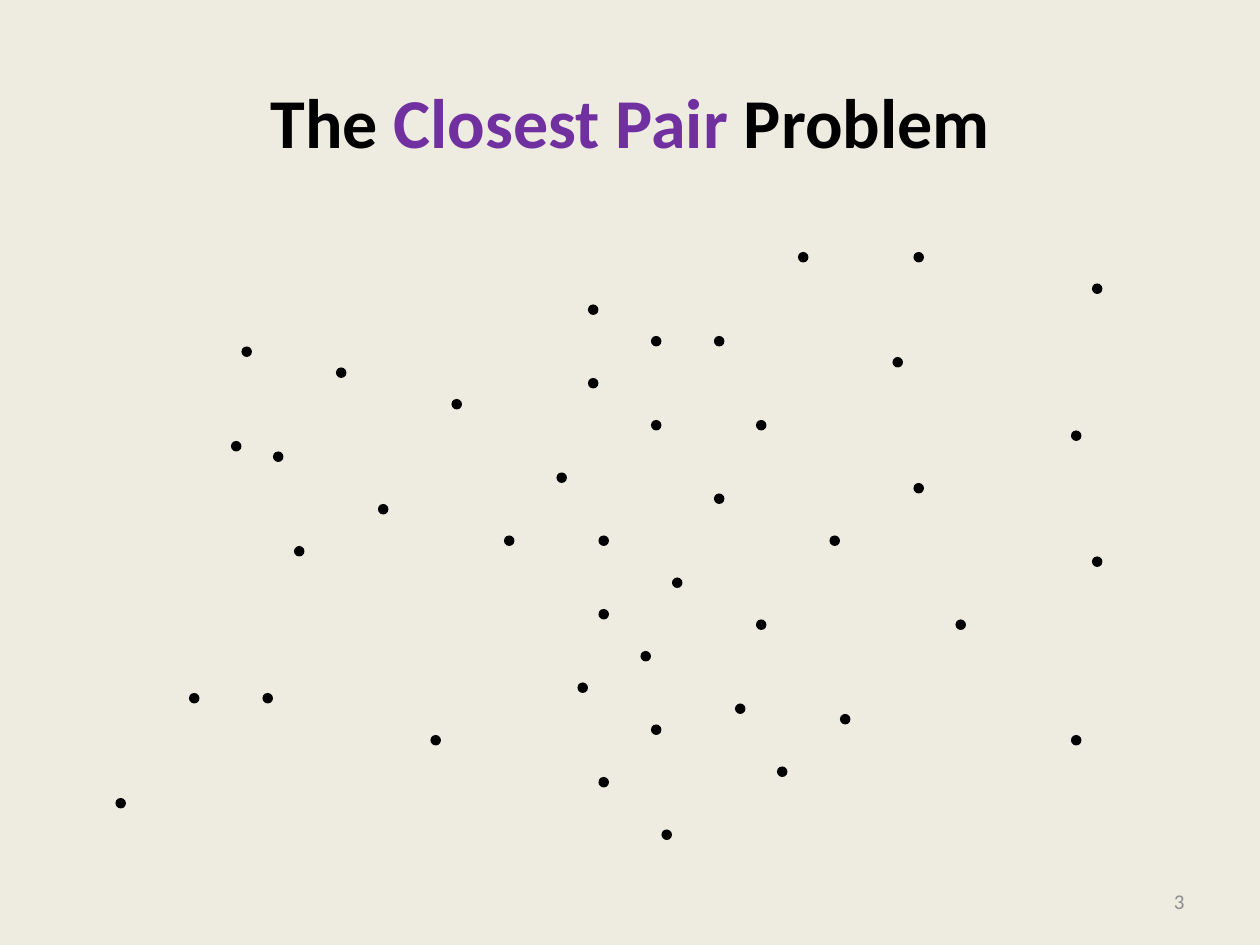
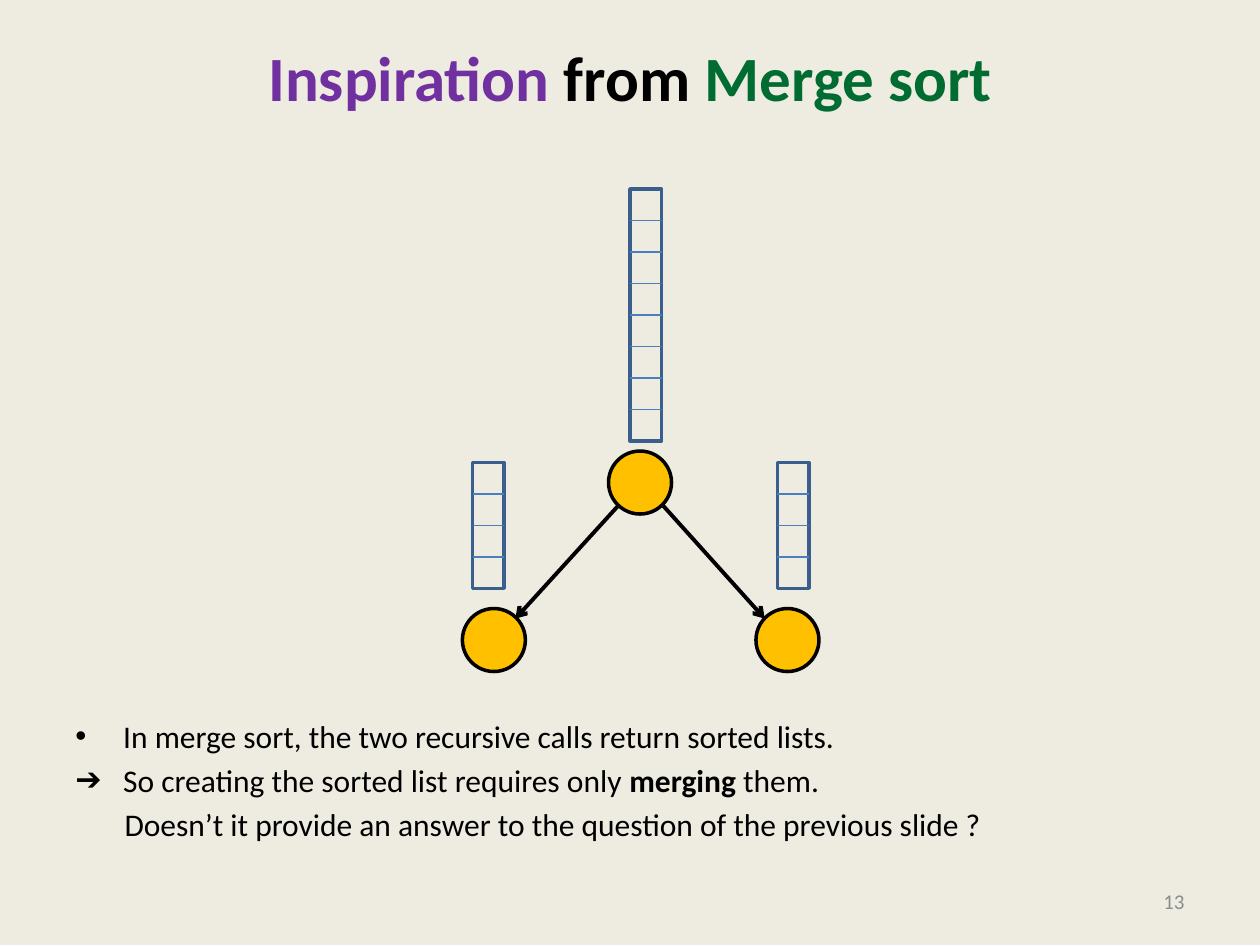
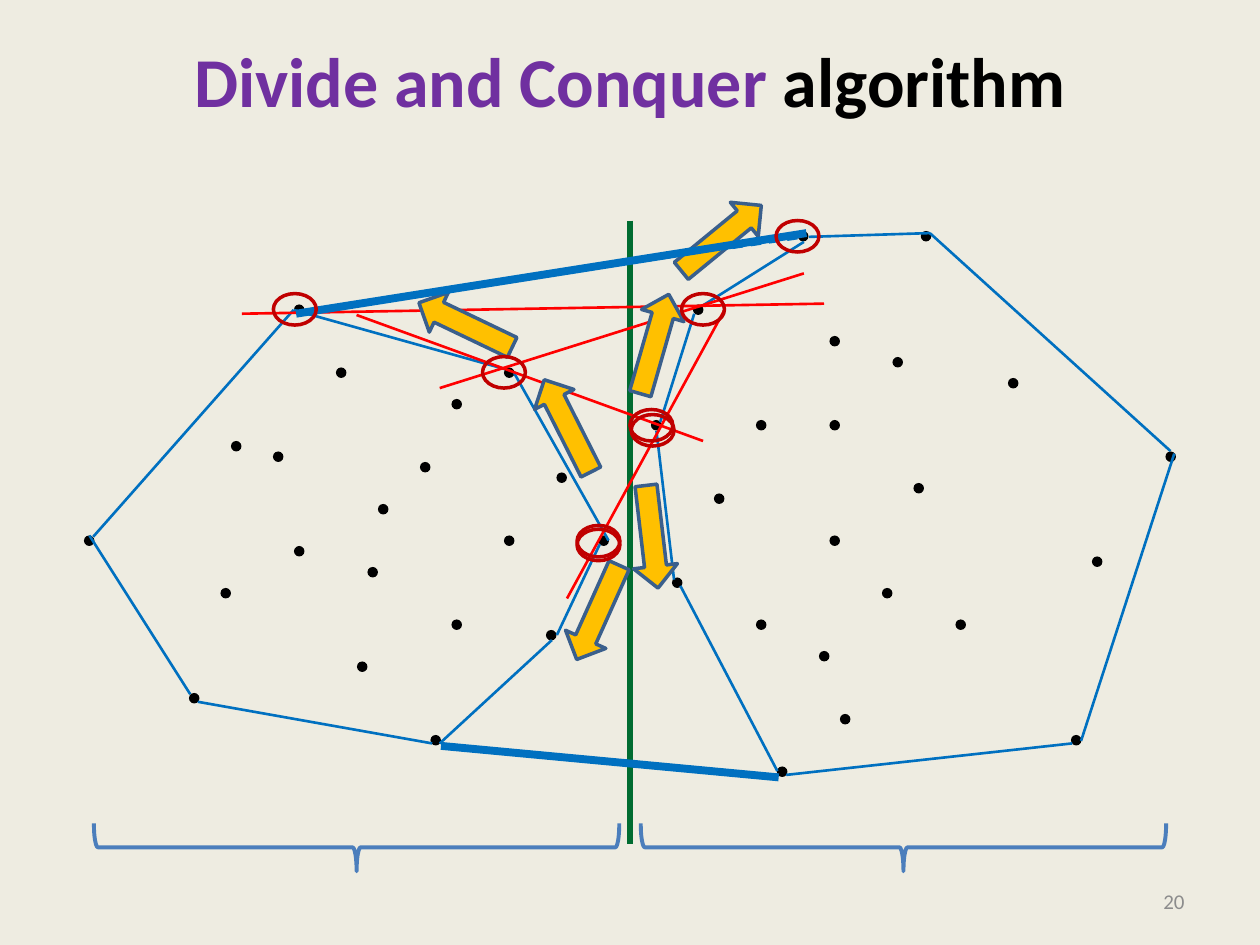
from pptx import Presentation
from pptx.dml.color import RGBColor
from pptx.enum.dml import MSO_LINE
from pptx.enum.shapes import MSO_CONNECTOR, MSO_SHAPE
from pptx.enum.text import MSO_ANCHOR, PP_ALIGN
from pptx.oxml.ns import qn
from pptx.util import Cm, Pt
from lxml import etree

STRAIGHT = MSO_CONNECTOR.STRAIGHT
ELLIPSE = MSO_SHAPE.OVAL
RECTANGLE = MSO_SHAPE.RECTANGLE
UP_ARROW = MSO_SHAPE.UP_ARROW
RIGHT_BRACE = MSO_SHAPE.RIGHT_BRACE
DASH = MSO_LINE.DASH
MIDDLE = MSO_ANCHOR.MIDDLE
BOTTOM = MSO_ANCHOR.BOTTOM
LEFT = PP_ALIGN.LEFT
CENTER = PP_ALIGN.CENTER
RIGHT = PP_ALIGN.RIGHT

FONT = "Calibri"
BACKGROUND = "EEECE1"
BLACK = "000000"
GRAY = "8C8C8C"
PURPLE = "7030A0"
GREEN = "006C31"
GOLD = "FFC000"
NAVY = "3A5F8C"
STEEL = "4B7EBC"
BLUE = "0070C0"
RED = "FF0000"
DARK_RED = "C00000"

GRID = 1 / 12
CELL = 0.25

SHARED_POINTS = [
    (43, 38), (48, 51), (87, 46), (79, 51), (80, 68), (41, 70), (36, 48), (91, 59),
    (85, 34), (32, 35), (26, 43), (28, 52), (22, 42), (72, 40), (72, 59), (74, 73),
    (104, 53), (102, 70), (18, 66), (57, 51), (64, 55), (62, 40), (53, 45), (68, 47),
]
CLOSEST_PAIR_POINTS = [
    (61, 62), (55, 65), (68, 32), (70, 67), (25, 66), (23, 33), (56, 29), (76, 24),
    (87, 24), (102, 41), (104, 27), (11, 76), (57, 74), (63, 79), (62, 69), (57, 58),
    (62, 32), (56, 36),
]
HULL_POINTS = [
    (21, 56), (43, 59), (66, 29), (78, 62), (34, 63), (28, 29), (79, 40), (76, 22),
    (87.7, 22), (111, 43), (96, 36), (8, 51), (84, 56), (35, 54), (40, 44), (52, 60),
    (79, 32), (48, 35),
]
LEFT_HULL = [
    (0.71, 4.25, 1.51, 5.51), (3.43, 5.9, 1.57, 5.57), (4.38, 5.08, 3.49, 5.9),
    (2.33, 2.46, 0.74, 4.26), (4.01, 2.93, 2.33, 2.46), (4.76, 4.32, 4.42, 5.04),
    (4.08, 2.96, 4.83, 4.29),
]
RIGHT_HULL = [
    (8.51, 5.9, 6.24, 6.15), (9.32, 3.6, 8.58, 5.88), (9.29, 3.58, 7.38, 1.85),
    (7.38, 1.85, 6.42, 1.88), (5.21, 3.42, 5.35, 4.6), (6.38, 1.92, 5.57, 2.43),
    (5.51, 2.49, 5.24, 3.35), (5.4, 4.65, 6.17, 6.12),
]
CANDIDATE_TANGENTS = [
    (5.75, 2.46, 4.5, 4.75), (5.58, 3.5, 2.83, 2.5),
    (6.38, 2.17, 3.49, 3.08), (6.54, 2.41, 1.92, 2.49),
]
FINAL_TANGENTS = [(6.4, 1.85, 2.35, 2.49), (6.18, 6.17, 3.5, 5.92)]
WALK_ARROWS = [
    (4.33, 2.97, 333.2), (5.02, 2.32, 16), (3.52, 2.17, 295.6),
    (5.55, 1.48, 50.7), (5, 3.85, 173.3), (4.57, 4.45, 204.2),
]
VISITED_POINTS = [
    (4.58, 4.17), (5, 3.25), (3.83, 2.83), (5.41, 2.33),
    (6.16, 1.75), (2.17, 2.33), (4.58, 4.2), (5.01, 3.29),
]


def color(value):
    return RGBColor.from_string(value)


def length(inches):
    return Cm(inches * 2.54)


class Deck:
    def __init__(self):
        self.presentation = Presentation()
        self.presentation.slide_width = length(10)
        self.presentation.slide_height = length(7.5)
        self.slide = None

    def new_slide(self, number, title_runs, title_size, title_top, title_height=0.8):
        self.slide = self.presentation.slides.add_slide(self.presentation.slide_layouts[6])
        fill = self.slide.background.fill
        fill.solid()
        fill.fore_color.rgb = color(BACKGROUND)
        title = self.text_box(0.5, title_top, 9, title_height, MIDDLE)
        self.paragraph(title, title_runs, title_size, CENTER, bold=True)
        footer = self.text_box(7.17, 6.95, 2.33, 0.4, MIDDLE)
        self.paragraph(footer, [(number, GRAY)], 12, RIGHT)

    def text_box(self, left, top, width, height, anchor):
        box = self.slide.shapes.add_textbox(*map(length, (left, top, width, height)))
        frame = box.text_frame
        frame.word_wrap = True
        frame.vertical_anchor = anchor
        return frame

    def paragraph(self, frame, runs, size, alignment=LEFT, bold=False):
        first = not frame.paragraphs[0].runs
        paragraph = frame.paragraphs[0] if first else frame.add_paragraph()
        paragraph.alignment = alignment
        if not first:
            paragraph.space_before = Pt(size * 0.2)
        for text, run_color, *emphasis in runs:
            run = paragraph.add_run()
            run.text = text
            run.font.name = FONT
            run.font.size = Pt(size)
            run.font.bold = bold or bool(emphasis)
            run.font.color.rgb = color(run_color)
        return paragraph

    def list_item(self, frame, runs, indent, bullet=None):
        paragraph = self.paragraph(frame, runs, 18)
        properties = paragraph._p.get_or_add_pPr()
        properties.set("marL", str(length(indent)))
        if bullet:
            properties.set("indent", str(-length(indent)))
            etree.SubElement(properties, qn("a:buFont")).set("typeface", "Arial")
            etree.SubElement(properties, qn("a:buChar")).set("char", bullet)

    def shape(self, kind, left, top, width, height, fill=None, line=None, weight=2, rotation=0):
        shape = self.slide.shapes.add_shape(kind, *map(length, (left, top, width, height)))
        shape.shadow.inherit = False
        shape.rotation = rotation
        if fill:
            shape.fill.solid()
            shape.fill.fore_color.rgb = color(fill)
        else:
            shape.fill.background()
        if line:
            shape.line.color.rgb = color(line)
            shape.line.width = Pt(weight)
        else:
            shape.line.fill.background()

    def line(self, ends, line_color, weight, dash=None, arrow=False):
        connector = self.slide.shapes.add_connector(STRAIGHT, *map(length, ends))
        connector.line.color.rgb = color(line_color)
        connector.line.width = Pt(weight)
        if dash:
            connector.line.dash_style = dash
        if arrow:
            outline = connector.line._get_or_add_ln()
            etree.SubElement(outline, qn("a:tailEnd")).set("type", "arrow")
        etree.SubElement(connector._element.spPr, qn("a:effectLst"))

    def lines(self, segments, line_color, weight):
        for ends in segments:
            self.line(ends, line_color, weight)

    def points(self, grid_points):
        for column, row in grid_points:
            self.shape(ELLIPSE, column * GRID, row * GRID, GRID, GRID, fill=BLACK)

    def node(self, left, top):
        self.shape(ELLIPSE, left, top, 0.5, 0.5, GOLD, BLACK)

    def array(self, left, top, cells):
        self.shape(RECTANGLE, left, top, CELL, cells * CELL, line=NAVY)
        for index in range(1, cells):
            y = top + index * CELL
            self.line((left, y, left + CELL, y), STEEL, 0.75)

    def rings(self, corners):
        for left, top in corners:
            self.shape(ELLIPSE, left, top, 0.34, 0.25, line=DARK_RED)


def closest_pair_slide(deck):
    title = [("The ", BLACK), ("Closest Pair ", PURPLE), ("Problem", BLACK)]
    deck.new_slide("3", title, 40, 0.33, 1.25)
    deck.points(SHARED_POINTS + CLOSEST_PAIR_POINTS)


def merge_sort_slide(deck):
    title = [("Inspiration", PURPLE), (" from ", BLACK), ("Merge sort", GREEN)]
    deck.new_slide("13", title, 36, 0.21)
    body = deck.text_box(0.5, 1.75, 9, 4.95, BOTTOM)
    body.margin_bottom = length(0.01)
    deck.list_item(body, [
        ("In merge sort, the two recursive calls return sorted lists.", BLACK),
    ], 0.38, "•")
    deck.list_item(body, [
        ("So creating the sorted list requires only ", BLACK),
        ("merging", BLACK, "bold"),
        (" them.", BLACK),
    ], 0.38, "➔")
    deck.list_item(body, [
        ("Doesn’t it provide an answer to the question of the previous slide ?", BLACK),
    ], 0.39)
    for left, top in [(4.83, 3.58), (3.67, 4.83), (6, 4.83)]:
        deck.node(left, top)
    for ends in [(4.91, 4.01, 4.09, 4.91), (5.26, 4.01, 6.07, 4.91)]:
        deck.line(ends, BLACK, 2.25, arrow=True)
    for left, top, cells in [(6.17, 3.67, 4), (3.75, 3.67, 4), (5, 1.5, 8)]:
        deck.array(left, top, cells)


def divide_and_conquer_slide(deck):
    title = [("Divide and Conquer ", PURPLE), ("algorithm", BLACK)]
    deck.new_slide("20", title, 40, 0.23)
    deck.points(SHARED_POINTS + HULL_POINTS)
    deck.line((5, 1.75, 5, 6.7), GREEN, 3)
    deck.lines(LEFT_HULL + RIGHT_HULL, BLUE, 1.5)
    deck.line((6.33, 1.89, 2.42, 2.47), BLUE, 1.5, dash=DASH)
    deck.lines(CANDIDATE_TANGENTS, RED, 1.5)
    for left, top, rotation in WALK_ARROWS:
        deck.shape(UP_ARROW, left, top, 0.35, 0.82, GOLD, NAVY, rotation=rotation)
    deck.lines(FINAL_TANGENTS, BLUE, 4.5)
    for left in (2.64, 6.98):
        deck.shape(RIGHT_BRACE, left, 4.64, 0.38, 4.17, line=STEEL, weight=2.25, rotation=90)
    deck.rings(VISITED_POINTS)


def main():
    deck = Deck()
    closest_pair_slide(deck)
    merge_sort_slide(deck)
    divide_and_conquer_slide(deck)
    deck.presentation.save("out.pptx")


if __name__ == "__main__":
    main()
